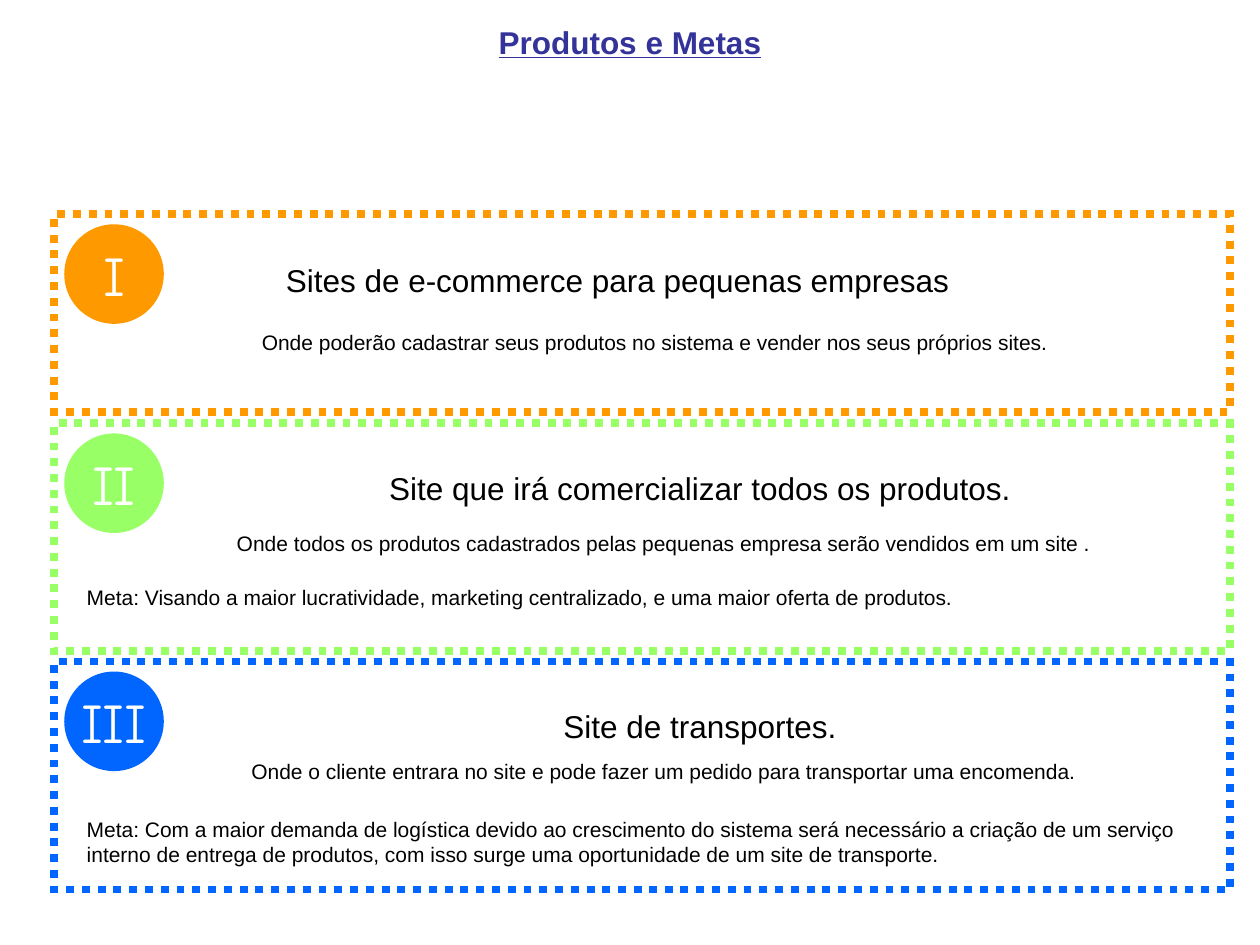
from lxml import etree
from pptx import Presentation
from pptx.dml.color import RGBColor
from pptx.enum import dml, shapes, text
from pptx.oxml.ns import qn
from pptx.util import Inches, Pt

LEFT = text.PP_ALIGN.LEFT
MID = text.PP_ALIGN.CENTER

# Each goal: numeral, colour, box top, box height, lines of text.
# Each line: words, left, top, width, size, alignment.
GOALS = [
    ("I", "FF9900", 1.7, 1.57, [
        ("Sites de e-commerce para pequenas empresas",
         2.17, 2.02, 5.6, 18, LEFT),
        ("Onde poderão cadastrar seus produtos no sistema e vender nos "
         "seus próprios sites.", 0.68, 2.57, 9.04, 12, MID),
    ]),
    ("II", "99FF66", 3.36, 1.81, [
        ("Site que irá comercializar todos os produtos.",
         1.38, 3.67, 8.35, 18, MID),
        ("Onde todos os produtos cadastrados pelas pequenas empresa serão "
         "vendidos em um site .", 0.75, 4.16, 9.04, 12, MID),
        ("Meta: Visando a maior lucratividade, marketing centralizado, e uma "
         "maior oferta de produtos.", 0.59, 4.59, 9.06, 12, LEFT),
    ]),
    ("III", "0066FF", 5.25, 1.81, [
        ("Site de transportes.", 1.38, 5.56, 8.35, 18, MID),
        ("Onde o cliente entrara no site e pode fazer um pedido para "
         "transportar uma encomenda.", 0.75, 5.97, 9.04, 12, MID),
        ("Meta: Com a maior demanda de logística devido ao crescimento do "
         "sistema será necessário a criação de um serviço interno de entrega "
         "de produtos, com isso surge uma oportunidade de um site de "
         "transporte.", 0.59, 6.43, 9.06, 12, LEFT),
    ]),
]


def color(code):
    return RGBColor.from_string(code)


def write(frame, words, size, tint, align, face="Arial"):
    para = frame.paragraphs[0]
    para.alignment = align
    run = para.add_run()
    run.text = words
    run.font.name = face
    run.font.size = Pt(size)
    run.font.color.rgb = color(tint)
    return run


def add_text(slide, words, left, top, width, size, align, tint="000000"):
    """Add a text box that grows with its text, and return the run."""
    height = 0.4 if size == 18 else 0.3
    box = slide.shapes.add_textbox(
        Inches(left), Inches(top), Inches(width), Inches(height))
    frame = box.text_frame
    frame.word_wrap = True
    frame.auto_size = text.MSO_AUTO_SIZE.SHAPE_TO_FIT_TEXT
    return write(frame, words, size, tint, align)


def add_frame(slide, top, height, tint):
    """Add an unfilled box with a dotted border and sharp corners."""
    box = slide.shapes.add_shape(
        shapes.MSO_SHAPE.RECTANGLE,
        Inches(0.43), Inches(top), Inches(9.33), Inches(height))
    box.shadow.inherit = False
    box.fill.background()
    box.line.color.rgb = color(tint)
    box.line.width = Pt(4.5)
    box.line.dash_style = dml.MSO_LINE.ROUND_DOT
    edge = box.element.spPr.find(qn("a:ln"))
    etree.SubElement(edge, qn("a:miter"), lim="800000")


def add_badge(slide, label, top, tint):
    """Add a filled disc that holds a numeral."""
    disc = slide.shapes.add_shape(
        shapes.MSO_SHAPE.OVAL,
        Inches(0.51), Inches(top), Inches(0.79), Inches(0.79))
    disc.shadow.inherit = False
    disc.fill.solid()
    disc.fill.fore_color.rgb = color(tint)
    disc.line.fill.background()
    frame = disc.text_frame
    frame.word_wrap = False
    frame.vertical_anchor = text.MSO_ANCHOR.MIDDLE
    write(frame, label, 32, "FFFFFF", MID, "Comic Neue")


def main():
    deck = Presentation()
    deck.slide_width = Inches(10)
    deck.slide_height = Inches(7.5)
    slide = deck.slides.add_slide(deck.slide_layouts[6])

    title = add_text(slide, "Produtos e Metas", 0, 0.13, 10, 18, MID,
                     "333399")
    title.font.bold = True
    title.font.underline = True

    for label, tint, top, height, lines in GOALS:
        add_frame(slide, top, height, tint)
        add_badge(slide, label, top + 0.08, tint)
        for line in lines:
            add_text(slide, *line)

    deck.save("out.pptx")


if __name__ == "__main__":
    main()
